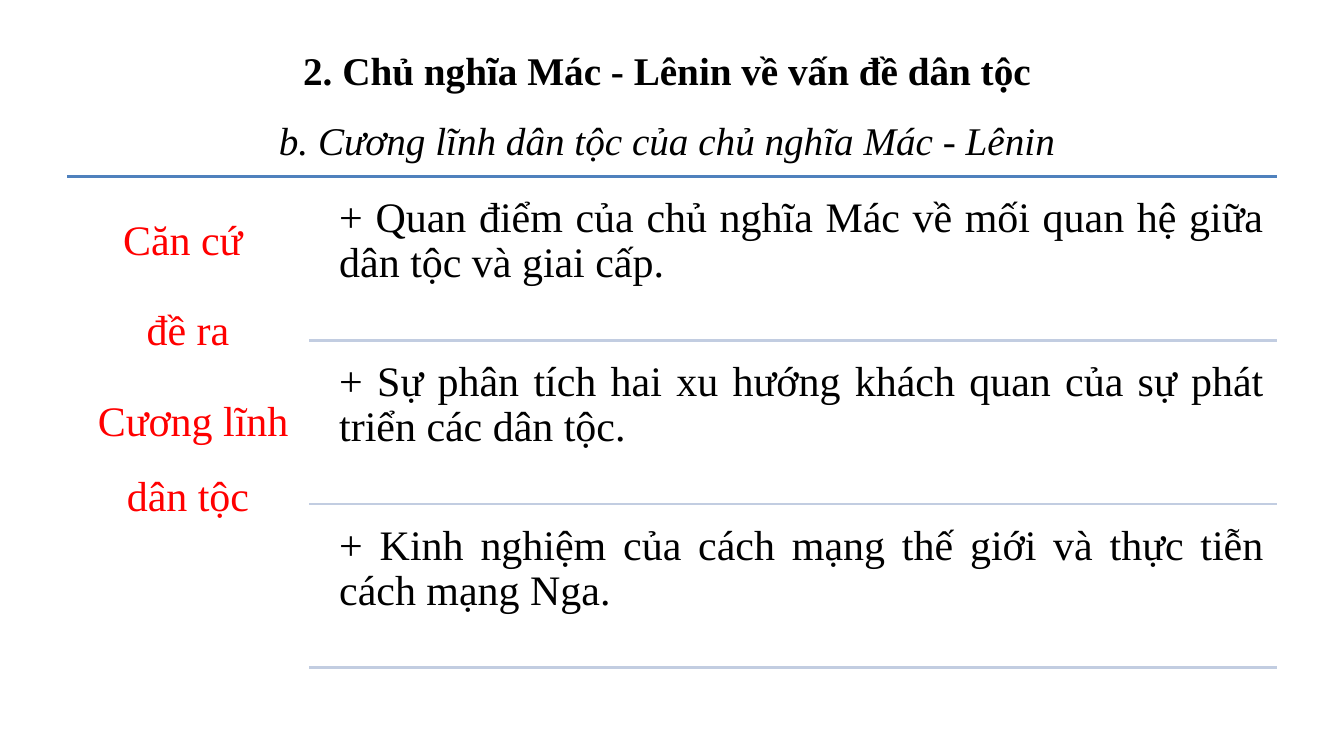
"""Builds the slide on the bases of the national programme."""
from lxml import etree
from pptx import Presentation
from pptx.dml.color import RGBColor
from pptx.enum.shapes import MSO_CONNECTOR
from pptx.enum.text import MSO_ANCHOR, PP_ALIGN
from pptx.oxml.ns import qn
from pptx.util import Cm, Pt

STRAIGHT = MSO_CONNECTOR.STRAIGHT
TOP, MIDDLE = MSO_ANCHOR.TOP, MSO_ANCHOR.MIDDLE
CENTER, JUSTIFY = PP_ALIGN.CENTER, PP_ALIGN.JUSTIFY

COLORS = {"ink": "000000", "red": "FF0000", "blue": "4F81BD", "pale": "C2CDE1"}
LEFT, RIGHT, SPLIT, BODY = 1.69, 32.17, 7.79, 8.25
HEAD, FIRST, STEP, HIGH = 4.45, 4.64, 4.13, 3.93

TITLE = ["2. Chủ nghĩa Mác - Lênin về vấn đề dân tộc \n"
         "b. Cương lĩnh dân tộc của chủ nghĩa Mác - Lênin "]
LABEL = ["Căn cứ ", "đề ra", " Cương lĩnh dân tộc"]
POINTS = [
    "+ Quan điểm của chủ nghĩa Mác về mối quan hệ giữa dân tộc và giai cấp.",
    "+ Sự phân tích hai xu hướng khách quan của sự phát triển các dân tộc.",
    "+ Kinh nghiệm của cách mạng thế giới và thực tiễn cách mạng Nga.",
]


class Board:
    """Holds the style and the current slide."""

    def __init__(self, slide):
        self.slide = slide
        self.face = "Times New Roman"

    def text(self, area, paras, size, color, form, pads=(0.3, 0.3),
             anchor=TOP, fonts=({},)):
        box = self.slide.shapes.add_textbox(*map(Cm, area))
        frame = box.text_frame
        side, edge = map(Cm, pads)
        frame_form = {"word_wrap": True, "vertical_anchor": anchor,
                      "margin_left": side, "margin_right": side,
                      "margin_top": edge, "margin_bottom": edge}
        self.apply(frame, frame_form)
        for i, words in enumerate(paras):
            para = frame.add_paragraph() if i else frame.paragraphs[0]
            para.text = words
            self.apply(para, form)
            for run, extra in zip(para.runs, fonts):
                self.apply(run.font, {"name": self.face, "size": Pt(size), **extra})
                run.font.color.rgb = RGBColor.from_string(COLORS[color])

    def rule(self, start, top, color):
        line = self.slide.shapes.add_connector(
            STRAIGHT, Cm(start), Cm(top), Cm(RIGHT), Cm(top))
        line.line.width = Pt(2)
        line.line.color.rgb = RGBColor.from_string(COLORS[color])
        etree.SubElement(line._element.spPr, qn("a:effectLst"))

    def apply(self, target, form):
        for name, value in form.items():
            setattr(target, name, value)


def main():
    deck = Presentation()
    deck.slide_width, deck.slide_height = Cm(33.87), Cm(19.05)
    board = Board(deck.slides.add_slide(deck.slide_layouts[6]))

    board.text((LEFT, 0.76, RIGHT - LEFT, 3.18), TITLE, 28, "ink",
               {"alignment": CENTER, "line_spacing": 1.5}, (0.25, 0.13), MIDDLE,
               ({"bold": True}, {"italic": True}))

    board.rule(LEFT, HEAD, "blue")
    board.text((LEFT, HEAD, SPLIT - LEFT, 12.57), LABEL, 30, "red",
               {"alignment": CENTER, "line_spacing": 1.5, "space_after": Pt(10.5)})

    for i, point in enumerate(POINTS):
        top = FIRST + i * STEP
        board.text((BODY, top, RIGHT - BODY, HIGH), [point], 30, "ink",
                   {"alignment": JUSTIFY, "line_spacing": 0.9})
        board.rule(SPLIT, top + HIGH, "pale")

    deck.save("out.pptx")


if __name__ == "__main__":
    main()
